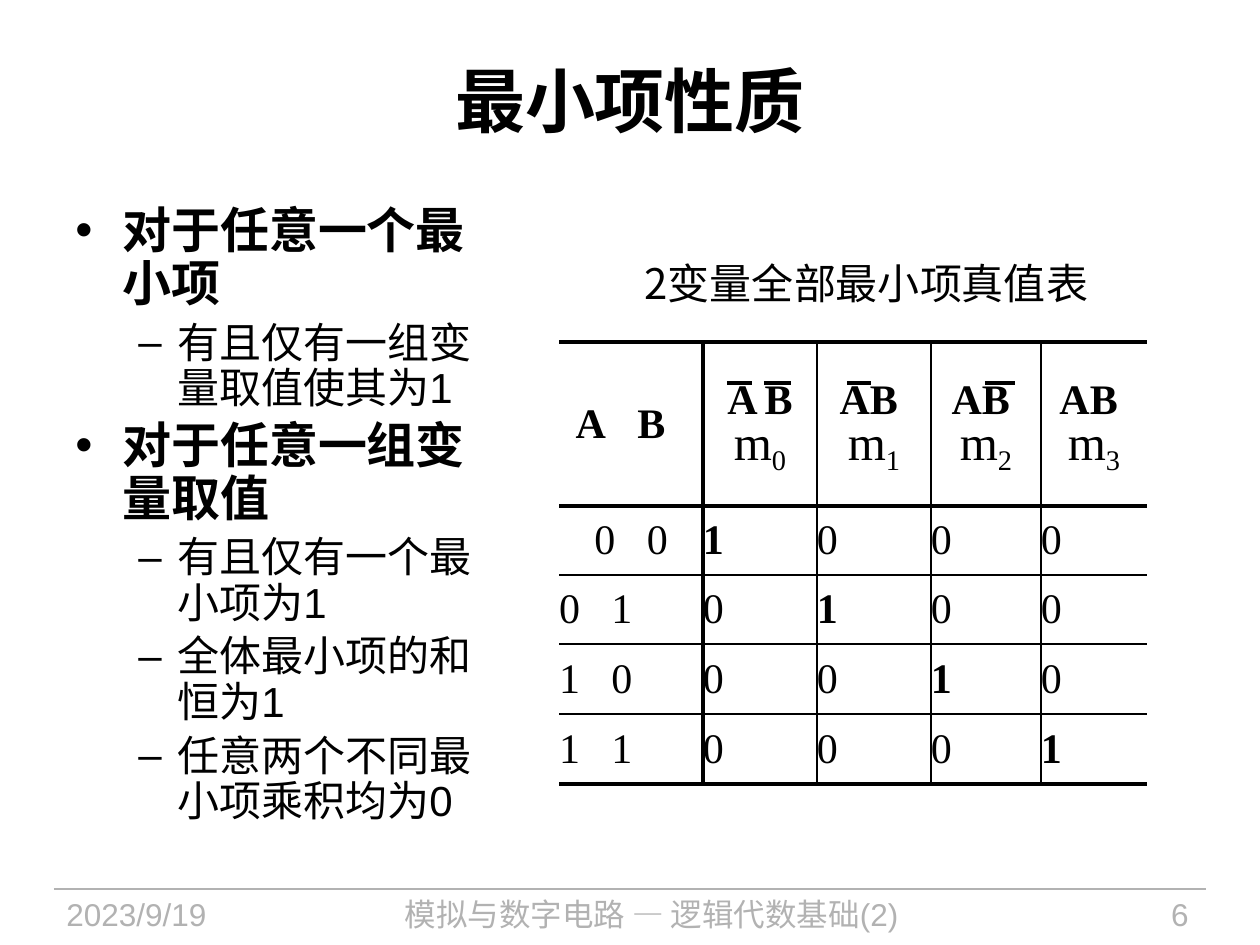
from lxml.etree import SubElement
from pptx import Presentation
from pptx.dml.color import RGBColor
from pptx.enum.shapes import MSO_CONNECTOR
from pptx.enum.text import MSO_ANCHOR as ANCHOR, PP_ALIGN as ALIGN
from pptx.oxml.ns import qn
from pptx.util import Emu, Pt

BLACK = RGBColor(0x00, 0x00, 0x00)
GRAY = RGBColor(0xB2, 0xB2, 0xB2)
SANS, CJK, SERIF = "Arial", "Noto Sans CJK SC", "Times New Roman"
THIN, THICK = 1.5, 2.25

TITLE = "最小项性质"
POINTS = [
    (0, "对于任意一个最小项"),
    (1, "有且仅有一组变量取值使其为1"),
    (0, "对于任意一组变量取值"),
    (1, "有且仅有一个最小项为1"),
    (1, "全体最小项的和恒为1"),
    (1, "任意两个不同最小项乘积均为0"),
]
LEVELS = [
    dict(size=28, bold=True, bullet="•", left=47, hang=47),
    dict(size=24, bold=False, bullet="–", left=102, hang=39),
]
CAPTION = "2变量全部最小项真值表 "
VARIABLES = ("A", "B")
MINTERMS = [("A", " ", "B"), ("AB ",), ("AB ",), ("AB ",)]
INPUTS = [("0", "0"), ("0", "1"), ("1", "0"), ("1", "1")]
COLUMNS = [144, 114, 114, 110, 106]
ROWS = [164, 69, 69, 70, 70]
OVERBARS = [(727, 752), (764, 791), (847, 871), (985, 1015)]
OVERBAR_Y = 383
FOOTER_Y = 889
FOOTERS = [
    (54, 237, ALIGN.LEFT, "2023/9/19"),
    (314, 675, ALIGN.CENTER, "模拟与数字电路 — 逻辑代数基础(2)"),
    (1033, 168, ALIGN.RIGHT, "6"),
]


def px(n):
    return Emu(round(n * 914400 / 126))


def style(r, size, bold=False, name=SANS, color=BLACK):
    r.font.size, r.font.bold, r.font.name = Pt(size), bold, name
    r.font.color.rgb = color
    SubElement(r.font._element, qn("a:ea"), typeface=CJK)


def add_run(p, text, size, bold=False, **attrs):
    r = p.add_run()
    r.text = text
    style(r, size, bold, SERIF)
    for key, value in attrs.items():
        r.font._element.set(key, str(value))


def space_after(p):
    spacing = SubElement(p._p.get_or_add_pPr(), qn("a:spcAft"))
    SubElement(spacing, qn("a:spcPct"), val="20000")


def add_text(slide, x, y, w, h, text, size, align, wrap=True, **look):
    tf = slide.shapes.add_textbox(px(x), px(y), px(w), px(h)).text_frame
    tf.word_wrap = wrap
    p = tf.paragraphs[0]
    p.text, p.alignment = text, align
    style(p.runs[0], size, **look)


def add_line(slide, x1, x2, y, color, width):
    line = slide.shapes.add_connector(
        MSO_CONNECTOR.STRAIGHT, px(x1), px(y), px(x2), px(y))
    line.line.color.rgb, line.line.width = color, Pt(width)
    SubElement(line._element.spPr, qn("a:effectLst"))


def add_points(slide):
    tf = slide.shapes.add_textbox(px(63), px(200), px(447), px(678)).text_frame
    tf.word_wrap = True
    for i, (level, text) in enumerate(POINTS):
        p = tf.add_paragraph() if i else tf.paragraphs[0]
        look = LEVELS[level]
        p.text, p.level, p.line_spacing = text, level, 0.9
        space_after(p)
        pPr = p._p.get_or_add_pPr()
        pPr.set("marL", str(px(look["left"])))
        pPr.set("indent", str(-px(look["hang"])))
        SubElement(pPr, qn("a:buFont"), typeface=SANS)
        SubElement(pPr, qn("a:buChar"), char=look["bullet"])
        style(p.runs[0], look["size"], look["bold"])


def set_borders(cell, row, col):
    last_row, last_col = len(ROWS) - 1, len(COLUMNS) - 1
    widths = {
        "lnL": {0: 0, 1: THICK}.get(col, THIN),
        "lnR": {0: THICK, last_col: 0}.get(col, THIN),
        "lnT": THICK if row <= 1 else THIN,
        "lnB": THICK if row in (0, last_row) else THIN,
    }
    tcPr = cell._tc.get_or_add_tcPr()
    for tag, width in widths.items():
        ln = SubElement(tcPr, qn("a:" + tag), w=str(Pt(width)))
        if width:
            fill = SubElement(ln, qn("a:solidFill"))
            SubElement(fill, qn("a:srgbClr"), val=str(BLACK))
        else:
            SubElement(ln, qn("a:noFill"))


def fill_pair(cell, pair, bold, align):
    p = cell.text_frame.paragraphs[0]
    p.alignment = align
    space_after(p)
    add_run(p, pair[0], 24, bold)
    add_run(p, " ", 24, bold, spc=1200)
    add_run(p, pair[1], 24, bold)


def fill_minterm(cell, index):
    cell.margin_top, cell.margin_bottom = px(20), px(13)
    tf = cell.text_frame
    p, q = tf.paragraphs[0], tf.add_paragraph()
    for para in (p, q):
        para.alignment, para.line_spacing = ALIGN.CENTER, 0.8
    for text in MINTERMS[index]:
        add_run(p, text, 16 if text == " " else 24, True)
    add_run(q, "m", 28)
    add_run(q, str(index), 28, baseline=-20000)


def fill_value(cell, is_one):
    p = cell.text_frame.paragraphs[0]
    space_after(p)
    add_run(p, "1" if is_one else "0", 24, is_one)


def add_truth_table(slide):
    table = slide.shapes.add_table(
        len(ROWS), len(COLUMNS), px(559), px(342), px(sum(COLUMNS)), px(sum(ROWS))).table
    table.first_row = table.horz_banding = False
    for column, width in zip(table.columns, COLUMNS):
        column.width = px(width)
    for i, height in enumerate(ROWS):
        table.rows[i].height = px(height)
        for j in range(len(COLUMNS)):
            cell = table.cell(i, j)
            cell.margin_left = cell.margin_right = 0
            cell.margin_top = cell.margin_bottom = 0
            cell.vertical_anchor = ANCHOR.MIDDLE
            set_borders(cell, i, j)
            cell.fill.background()
            if i and j:
                fill_value(cell, i == j)
            elif j:
                fill_minterm(cell, j - 1)
            elif i:
                fill_pair(cell, INPUTS[i - 1], False, ALIGN.CENTER if i == 1 else ALIGN.LEFT)
            else:
                cell.margin_right = px(21)
                fill_pair(cell, VARIABLES, True, ALIGN.CENTER)


def main():
    prs = Presentation()
    prs.slide_width, prs.slide_height = px(1260), px(945)
    slide = prs.slides.add_slide(prs.slide_layouts[5])

    add_line(slide, 54, 1206, FOOTER_Y, GRAY, 0.75)
    for x, w, align, text in FOOTERS:
        add_text(slide, x, FOOTER_Y, w, 55, text, 18, align, color=GRAY)

    title = slide.shapes.title
    title.left, title.top, title.width, title.height = px(63), px(21), px(1134), px(158)
    tf = title.text_frame
    tf.text, tf.vertical_anchor = TITLE, ANCHOR.MIDDLE
    tf.paragraphs[0].alignment = ALIGN.CENTER
    style(tf.paragraphs[0].runs[0], 40, True)

    add_points(slide)
    add_truth_table(slide)
    add_text(slide, 627, 251, 488, 63, CAPTION, 24, ALIGN.CENTER, wrap=False, name=CJK)
    for x1, x2 in OVERBARS:
        add_line(slide, x1, x2, OVERBAR_Y, BLACK, THICK)

    prs.save("out.pptx")


if __name__ == "__main__":
    main()
